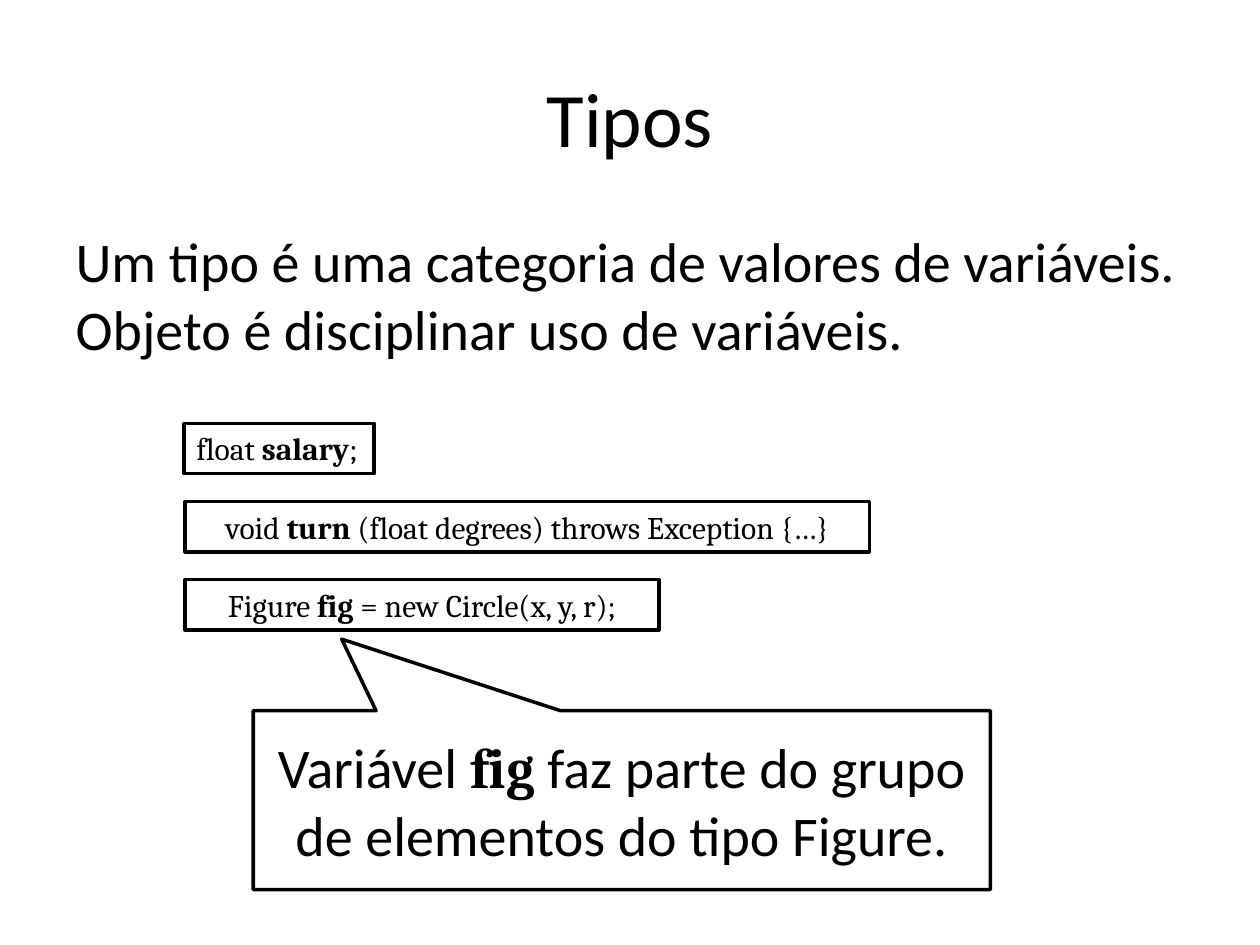
from pptx import Presentation
from pptx.dml.color import RGBColor
from pptx.enum.shapes import MSO_SHAPE as Shape
from pptx.enum.text import MSO_ANCHOR as Anchor, MSO_AUTO_SIZE as AutoSize, PP_ALIGN as Align
from pptx.oxml.xmlchemy import OxmlElement
from pptx.util import Inches, Pt

BLACK = RGBColor(0, 0, 0)
WHITE = RGBColor(255, 255, 255)
PROSE, CODE = "Calibri", "Cambria"


class Lesson:
    """Holds the style and the current slide."""

    def __init__(self, deck):
        self.slide = deck.slides.add_slide(deck.slide_layouts[1])

    def add_runs(self, paragraph, runs, size, align):
        paragraph.alignment = align
        for text, face, bold in runs:
            run = paragraph.add_run()
            run.text = text
            run.font.name, run.font.size, run.font.bold = face, Pt(size), bold
            run.font.color.rgb = BLACK

    def placeholder(self, index, box, text, size, align):
        holder = self.slide.placeholders[index]
        holder.left, holder.top, holder.width, holder.height = map(Inches, box)
        paragraph = holder.text_frame.paragraphs[0]
        self.add_runs(paragraph, [(text, PROSE, False)], size, align)
        return paragraph

    def title(self, box, text):
        self.placeholder(0, box, text, 44, Align.CENTER)

    def body(self, box, text):
        properties = self.placeholder(1, box, text, 32, Align.LEFT)._p.get_or_add_pPr()
        properties.set("marL", "0")
        properties.set("indent", "0")
        properties.append(OxmlElement("a:buNone"))

    def frame(self, kind, box, runs, size, align=Align.CENTER, anchor=Anchor.MIDDLE):
        shape = self.slide.shapes.add_shape(kind, *map(Inches, box))
        shape.shadow.inherit = False
        shape.fill.solid()
        shape.fill.fore_color.rgb = WHITE
        shape.line.color.rgb = BLACK
        shape.line.width = Pt(2)
        text = shape.text_frame
        text.word_wrap = True
        text.vertical_anchor = anchor
        self.add_runs(text.paragraphs[0], runs, size, align)
        return shape

    def code(self, box, before, name, after, align=Align.CENTER):
        runs = [(before, CODE, False), (name, CODE, True), (after, CODE, False)]
        shape = self.frame(Shape.RECTANGLE, box, runs, 18, align, Anchor.TOP)
        shape.text_frame.auto_size = AutoSize.SHAPE_TO_FIT_TEXT

    def callout(self, box, tip, runs):
        shape = self.frame(Shape.RECTANGULAR_CALLOUT, box, runs, 32)
        shape.adjustments[0], shape.adjustments[1] = tip


deck = Presentation()
deck.slide_width, deck.slide_height = Inches(10), Inches(7.5)
lesson = Lesson(deck)

# Heading and definition
lesson.title((0.5, 0.3, 9, 1.25), "Tipos")
lesson.body((0.5, 1.75, 9, 5.75),
            "Um tipo é uma categoria de valores de variáveis. "
            "Objeto é disciplinar uso de variáveis.")

# Code examples, evenly stacked
examples = [
    (1.46, 1.51, "float ", "salary", ";", Align.LEFT),
    (1.47, 5.43, "void ", "turn", " (float degrees) throws Exception {…}", Align.CENTER),
    (1.47, 3.76, "Figure ", "fig ", "= new Circle(x, y, r);", Align.CENTER),
]
for row, (left, width, before, name, after, align) in enumerate(examples):
    lesson.code((left, 3.36 + row * 0.62, width, 0.4), before, name, after, align)

# Remark on the last example
lesson.callout((2.01, 5.64, 5.85, 1.42), (-0.38, -0.9), [
    ("Variável ", PROSE, False),
    ("fig", CODE, True),
    (" faz parte do grupo de elementos do tipo Figure.", PROSE, False),
])

deck.save("out.pptx")
